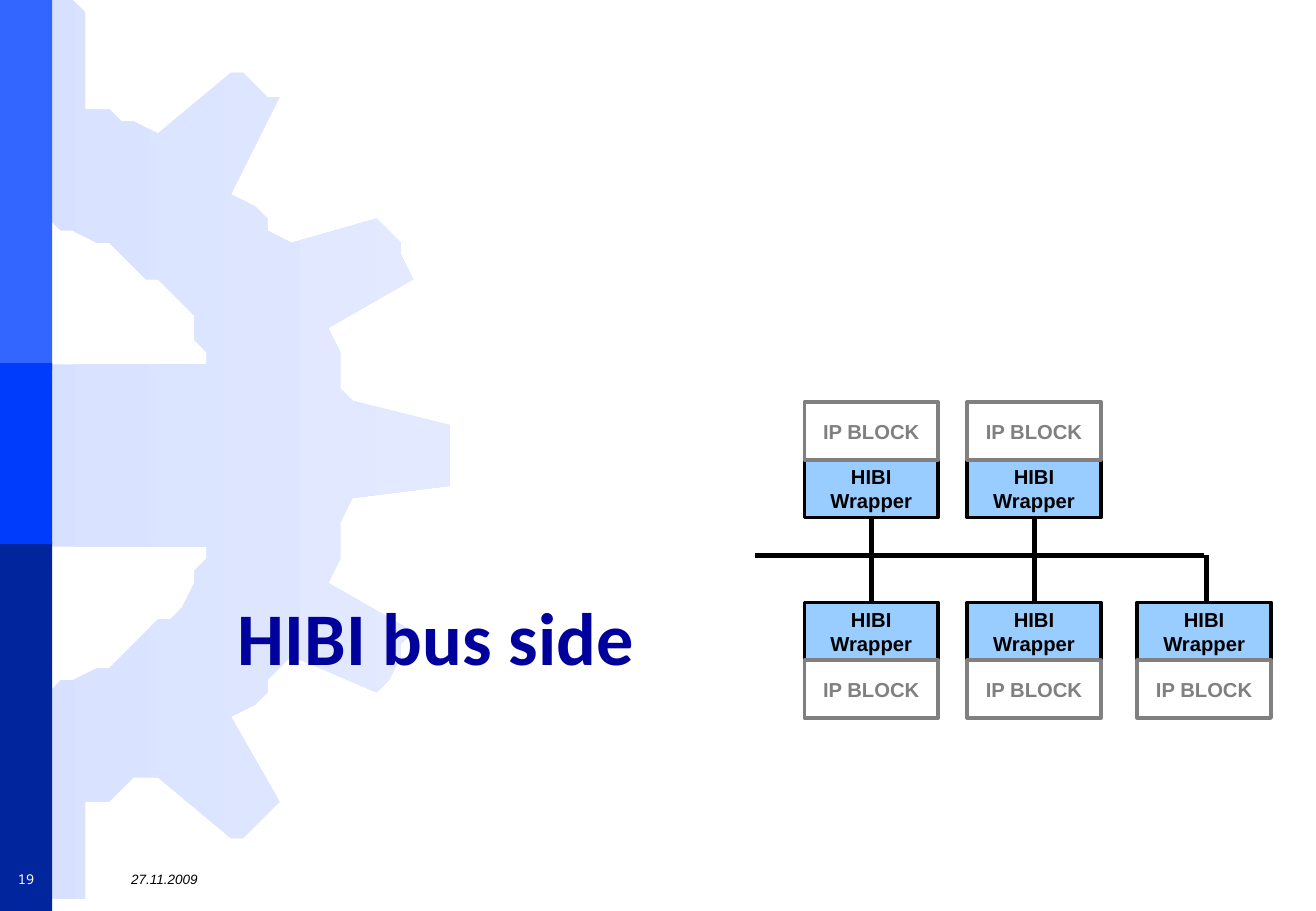
from dataclasses import dataclass

from lxml import etree
from pptx import Presentation
from pptx.dml.color import RGBColor
from pptx.enum.shapes import MSO_CONNECTOR, MSO_SHAPE
from pptx.enum.text import MSO_ANCHOR, PP_ALIGN
from pptx.oxml.ns import qn
from pptx.util import Inches, Pt

RECT = MSO_SHAPE.RECTANGLE
PROCESS = MSO_SHAPE.FLOWCHART_PROCESS
STRAIGHT = MSO_CONNECTOR.STRAIGHT
LEFT, CENTER = PP_ALIGN.LEFT, PP_ALIGN.CENTER
TOP, MIDDLE = MSO_ANCHOR.TOP, MSO_ANCHOR.MIDDLE

COLS, ROWS = 108.3, 75
CELL = Inches(0.1)


@dataclass(frozen=True)
class Theme:
    black: str = "000000"
    white: str = "FFFFFF"
    gray: str = "808080"
    navy: str = "00009C"
    sky: str = "99CCFF"
    bars: tuple = ("3366FF", "00259C", "003CFC")
    fade: tuple = ("D7E1FF", "E3EAFF")
    title: int = 44
    label: int = 12
    small: int = 8
    head: str = "Calibri"
    body: str = "Arial"
    mono: str = "Noto Sans Mono"
    edge: float = 2.25
    wire: float = 3


class Sheet:
    def __init__(self, deck, theme):
        self.theme = theme
        self.slide = deck.slides.add_slide(deck.slide_layouts[6])
        self.shapes = self.slide.shapes

    def grid(self, *cells):
        return [round(cell * CELL) for cell in cells]

    def apply(self, item, values):
        for name, value in values.items():
            setattr(item, name, value)

    def fill_text(self, shape, lines, font, color, align=CENTER, anchor=MIDDLE, inset=(0, 0)):
        frame = shape.text_frame
        side, top = self.grid(*inset)
        self.apply(frame, {
            "word_wrap": True, "vertical_anchor": anchor,
            "margin_left": side, "margin_right": side,
            "margin_top": top, "margin_bottom": top,
        })
        for index, line in enumerate(lines):
            para = frame.add_paragraph() if index else frame.paragraphs[0]
            para.alignment = align
            run = para.add_run()
            run.text = line
            self.apply(run.font, font)
            run.font.color.rgb = RGBColor.from_string(color)

    def text(self, area, line, font, color, align=LEFT, anchor=MIDDLE):
        box = self.shapes.add_textbox(*self.grid(*area))
        self.fill_text(box, [line], font, color, align, anchor, (1, 0.5))

    def box(self, kind, area, fill, line=None):
        shape = self.shapes.add_shape(kind, *self.grid(*area))
        shape.shadow.inherit = False
        shape.fill.solid()
        shape.fill.fore_color.rgb = RGBColor.from_string(fill)
        if line:
            shape.line.color.rgb = RGBColor.from_string(line)
            shape.line.width = Pt(self.theme.edge)
        else:
            shape.line.fill.background()
        return shape

    def block(self, area, lines, fill, color):
        shape = self.box(PROCESS, area, fill, color)
        font = {"name": self.theme.body, "size": Pt(self.theme.label), "bold": True}
        self.fill_text(shape, lines, font, color)

    def wire(self, *ends):
        line = self.shapes.add_connector(STRAIGHT, *self.grid(*ends))
        line.line.color.rgb = RGBColor.from_string(self.theme.black)
        line.line.width = Pt(self.theme.wire)
        etree.SubElement(line._element.spPr, qn("a:effectLst"))

    def gear(self, half, height):
        points = half + [(x, height - y) for x, y in reversed(half)]
        pen = self.shapes.build_freeform(*points[0], scale=CELL)
        pen.add_line_segments(points[1:], close=True)
        shape = pen.convert_to_shape()
        shape.shadow.inherit = False
        shape.line.fill.background()
        shape.fill.gradient()
        shape.fill.gradient_angle = 0
        for stop, color in zip(shape.fill.gradient_stops, self.theme.fade):
            stop.color.rgb = RGBColor.from_string(color)


HALF = [
    (0, 29.9), (17.3, 29.9), (16.7, 28.6), (16, 27.6), (15.5, 26.4),
    (14.7, 25.3), (13.9, 24.2), (13, 23.4), (11.9, 22.6), (11.1, 21.6),
    (10, 20.9), (8.9, 20.1), (7.8, 19.6), (6.5, 19.1), (5.4, 18.6),
    (4.2, 18.1), (2.8, 18), (1.4, 17.6), (1.4, 0), (2.9, 0.1),
    (4.2, 0.3), (5.5, 0.5), (7, 0.8), (7, 8.8), (8.7, 9.3),
    (10, 9.9), (11.4, 10.4), (12.8, 11.2), (18.6, 5.5), (19.9, 6.2),
    (20.8, 7), (21.9, 7.7), (23.2, 8.5), (19.2, 15.7), (20.6, 16.9),
    (21.5, 18), (22.5, 19.2), (23.6, 20.5), (31.4, 18), (32, 19.2),
    (32.7, 20.4), (33.3, 21.4), (33.8, 22.7), (27.3, 27.3), (27.5, 29.1),
    (28.1, 30.5), (28.3, 32), (28.6, 33.4), (36.7, 34.7), (37, 35.9),
]
BARS = [(0, 30.5), (44.6, 30.4), (29.9, 14.9)]
WIDE, TALL = 11, 4.75
BUS, UPPER, LOWER = 45.7, 33.1, 49.6
PAIRS = [66.2, 79.6]
LAST, DROP = 93.6, 99.3


def main():
    deck = Presentation()
    deck.slide_width, deck.slide_height = round(COLS * CELL), ROWS * CELL
    theme = Theme()
    sheet = Sheet(deck, theme)

    sheet.gear(HALF, 74.8)
    for (top, tall), color in zip(BARS, theme.bars):
        sheet.box(RECT, (0, top, 4.3, tall), color)

    font = {"name": theme.head, "size": Pt(theme.title), "bold": True}
    sheet.text((18.6, 48.2, 82, 14.9), "HIBI bus side", font, theme.navy, anchor=TOP)
    font = {"name": theme.body, "size": Pt(theme.small), "italic": True}
    sheet.text((9.8, 71.1, 93.9, 2.6), "27.11.2009", font, theme.black)
    font = {"name": theme.mono, "size": Pt(theme.small)}
    sheet.text((0, 71.1, 4.3, 2.6), "19", font, theme.white, CENTER)

    sheet.wire(62.1, BUS, 99.1, BUS)
    for left in PAIRS:
        mid = left + WIDE / 2
        sheet.wire(mid, UPPER + 2 * TALL, mid, LOWER)
    sheet.wire(DROP, BUS, DROP, LOWER)

    nodes = [(left, UPPER + TALL, UPPER) for left in PAIRS]
    nodes += [(left, LOWER, LOWER + TALL) for left in PAIRS + [LAST]]
    for left, inner, outer in nodes:
        sheet.block((left, inner, WIDE, TALL), ["HIBI", "Wrapper"], theme.sky, theme.black)
        sheet.block((left, outer, WIDE, TALL), ["IP BLOCK"], theme.white, theme.gray)

    deck.save("out.pptx")


if __name__ == "__main__":
    main()
